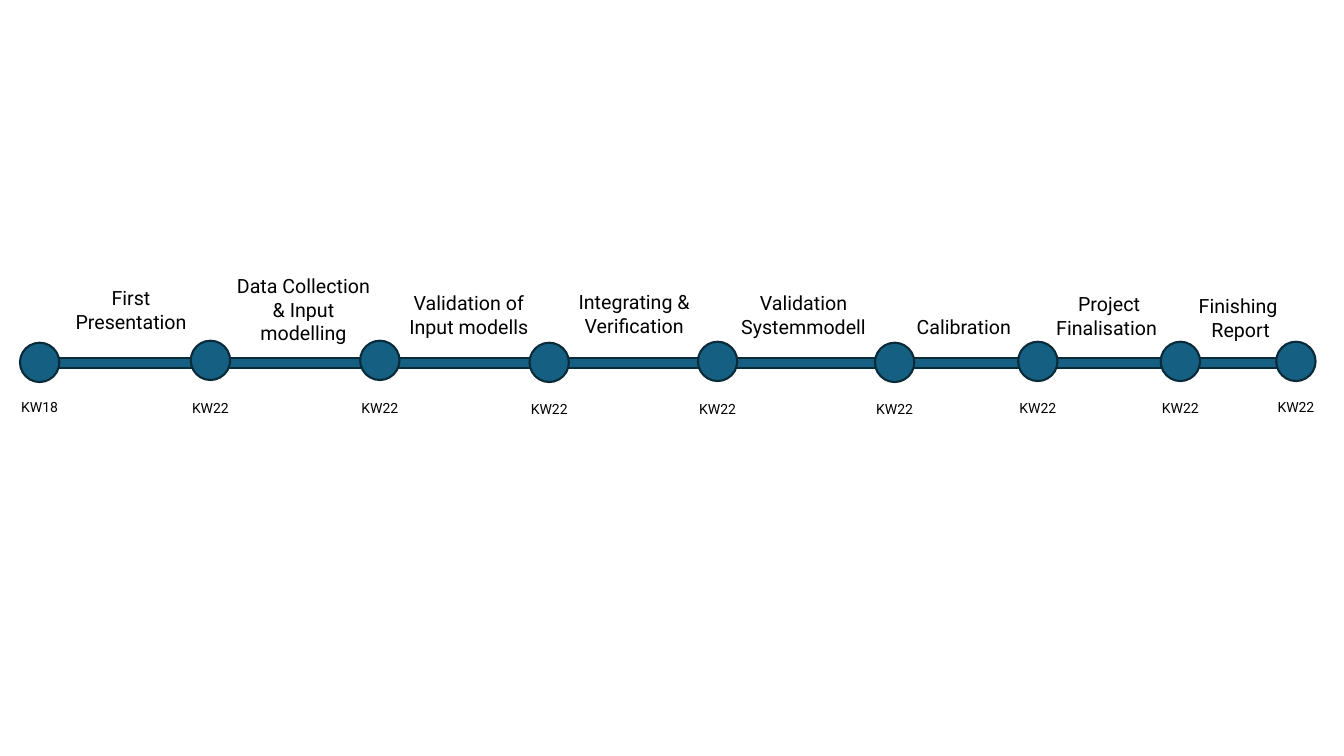
from dataclasses import dataclass

from pptx import Presentation
from pptx.dml.color import RGBColor
from pptx.enum.shapes import MSO_SHAPE
from pptx.enum.text import MSO_AUTO_SIZE, PP_ALIGN
from pptx.util import Inches, Pt

RECTANGLE = MSO_SHAPE.RECTANGLE
OVAL = MSO_SHAPE.OVAL
CENTER = PP_ALIGN.CENTER
FIT_SHAPE = MSO_AUTO_SIZE.SHAPE_TO_FIT_TEXT

BLUE = RGBColor(0x15, 0x60, 0x82)
DARK_BLUE = RGBColor(0x09, 0x2A, 0x39)
BLACK = RGBColor(0x00, 0x00, 0x00)
FONT = "Roboto"

SLIDE_WIDTH = Inches(13.33)
SLIDE_HEIGHT = Inches(7.5)
COLUMN = SLIDE_WIDTH / 133.3
ROW = SLIDE_HEIGHT / 75

DOT_SIZE = 3.9
PHASE_WIDTH = 15.8
WEEK_WIDTH = 9.8
WEEK_HEIGHT = 2.7
PHASE_HEIGHTS = {1: 3.4, 2: 5.7, 3: 8.1}


@dataclass(frozen=True)
class Milestone:
    week: str
    center: float
    dot_top: float
    week_top: float


@dataclass(frozen=True)
class Phase:
    paragraphs: tuple[str, ...]
    center: float
    top: float
    lines: int = 2


MILESTONES = (
    Milestone("KW18", 3.93, 34.0, 39.0),
    Milestone("KW22", 20.87, 33.8, 39.1),
    Milestone("KW22", 37.67, 33.8, 39.1),
    Milestone("KW22", 54.47, 34.0, 39.2),
    Milestone("KW22", 71.17, 33.9, 39.2),
    Milestone("KW22", 88.73, 34.0, 39.2),
    Milestone("KW22", 102.93, 33.9, 39.1),
    Milestone("KW22", 117.07, 33.9, 39.1),
    Milestone("KW22", 128.53, 33.9, 39.0),
)

PHASES = (
    Phase(("First", "Presentation"), 13.0, 27.9),
    Phase(("Data Collection & Input modelling",), 30.1, 26.7, 3),
    Phase(("Validation of Input modells",), 46.5, 28.4),
    Phase(("Integrating & Verification",), 62.9, 28.3),
    Phase(("Validation Systemmodell",), 79.7, 28.4),
    Phase(("Calibration",), 95.6, 30.8, 1),
    Phase(("Project Finalisation ",), 110.0, 28.5),
    Phase(("Finishing", " Report"), 122.8, 28.7),
)


def grid_box(left: float, top: float, width: float, height: float) -> tuple[int, ...]:
    return (round(left * COLUMN), round(top * ROW),
            round(width * COLUMN), round(height * ROW))


def add_solid(slide, kind, box: tuple[int, ...]) -> None:
    shape = slide.shapes.add_shape(kind, *box)
    shape.shadow.inherit = False
    shape.fill.solid()
    shape.fill.fore_color.rgb = BLUE
    shape.line.color.rgb = DARK_BLUE
    shape.line.width = Pt(1.5)


def add_text(slide, paragraphs: tuple[str, ...], box: tuple[int, ...], *,
             size: float, color: RGBColor = BLACK) -> None:
    frame = slide.shapes.add_textbox(*box).text_frame
    frame.word_wrap = True
    frame.auto_size = FIT_SHAPE
    for index, text in enumerate(paragraphs):
        paragraph = frame.add_paragraph() if index else frame.paragraphs[0]
        paragraph.alignment = CENTER
        run = paragraph.add_run()
        run.text = text
        run.font.name = FONT
        run.font.size = Pt(size)
        run.font.color.rgb = color


def add_milestone(slide, milestone: Milestone) -> None:
    add_solid(slide, OVAL, grid_box(milestone.center - DOT_SIZE / 2,
                                    milestone.dot_top, DOT_SIZE, DOT_SIZE))
    add_text(slide, (milestone.week,),
             grid_box(milestone.center - WEEK_WIDTH / 2, milestone.week_top,
                      WEEK_WIDTH, WEEK_HEIGHT), size=10)


def add_phase(slide, phase: Phase) -> None:
    add_text(slide, phase.paragraphs,
             grid_box(phase.center - PHASE_WIDTH / 2, phase.top,
                      PHASE_WIDTH, PHASE_HEIGHTS[phase.lines]), size=14)


def main() -> None:
    presentation = Presentation()
    presentation.slide_width = SLIDE_WIDTH
    presentation.slide_height = SLIDE_HEIGHT
    slide = presentation.slides.add_slide(presentation.slide_layouts[6])
    add_solid(slide, RECTANGLE, grid_box(2.9, 35.5, 126.7, 1.0))
    for milestone in MILESTONES:
        add_milestone(slide, milestone)
    for phase in PHASES:
        add_phase(slide, phase)
    presentation.save("out.pptx")


if __name__ == "__main__":
    main()
